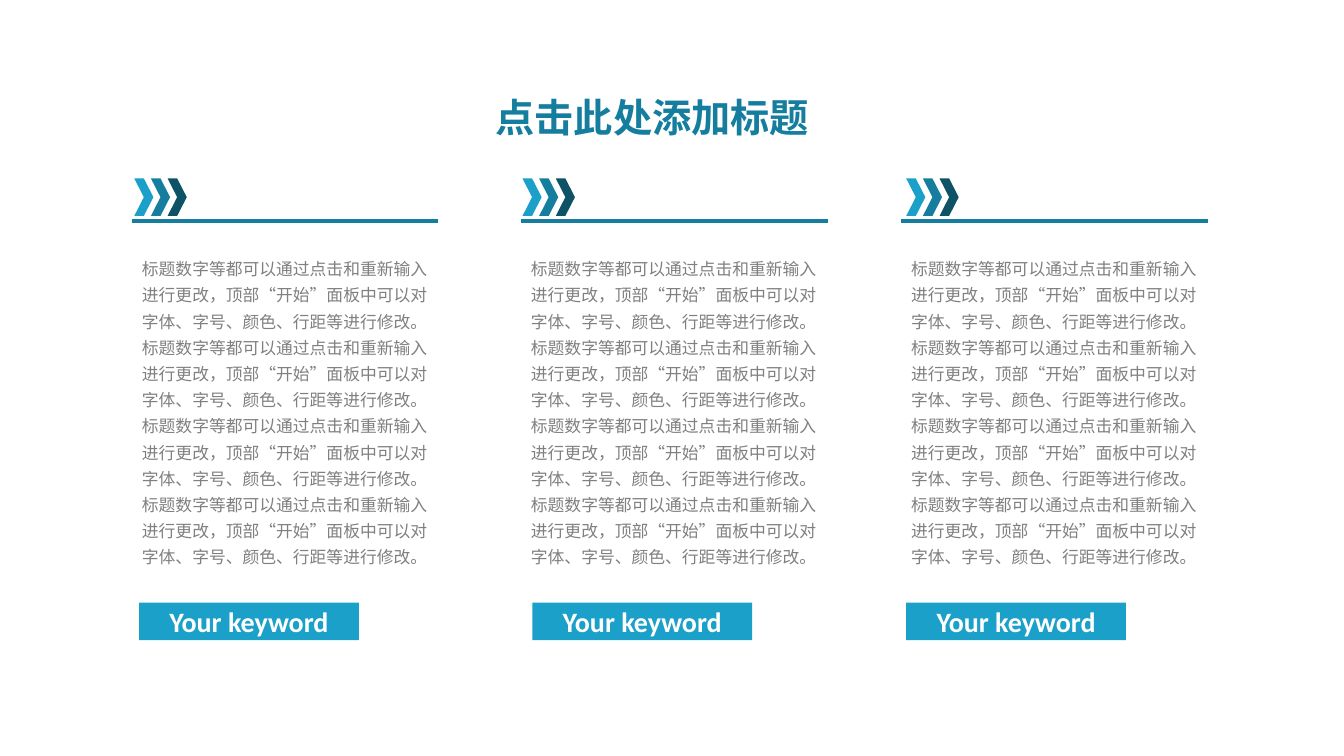
from dataclasses import dataclass

from lxml import etree
from pptx import Presentation
from pptx.dml import color
from pptx.enum import shapes, text
from pptx.oxml import ns
from pptx.util import Pt


@dataclass(frozen=True)
class Theme:
    light: str = "1BA0C9"
    medium: str = "157E9F"
    dark: str = "0D5267"
    body: str = "808080"
    white: str = "FFFFFF"
    chinese_font: str = "Noto Sans CJK SC"
    latin_font: str = "Calibri"
    title_size: int = 28
    keyword_size: int = 20
    body_size: int = 12


THEME = Theme()
TITLE = "点击此处添加标题"
SENTENCE = ("标题数字等都可以通过点击和重新输入进行更改，"
            "顶部“开始”面板中可以对字体、字号、颜色、行距等进行修改。")
BODY = SENTENCE * 4
KEYWORD = "Your keyword"

COLUMN_TOP = 127.44
COLUMN_WIDTH = 218.9
# Left edge of each column, then the indents of its chevrons and keyword
COLUMNS = [(94.3, 1.6, 5), (372.2, 1, 8), (643.7, 3.6, 3.6)]


def rgb(value):
    return color.RGBColor.from_string(value)


def style(paragraph, name, size, value, bold=False):
    """Set the paragraph's font, for Latin and East Asian text alike."""
    font = paragraph.font
    font.name, font.size, font.bold = name, Pt(size), bold
    font.color.rgb = rgb(value)
    properties = paragraph._p.pPr.find(ns.qn("a:defRPr"))
    etree.SubElement(properties, ns.qn("a:ea"), typeface=name)


def add_text(slide, left, top, width, height, words):
    box = slide.shapes.add_textbox(Pt(left), Pt(top), Pt(width), Pt(height))
    box.text_frame.word_wrap = True
    paragraph = box.text_frame.paragraphs[0]
    paragraph.text = words
    return paragraph


def add_block(slide, kind, left, top, width, height, fill):
    shape = slide.shapes.add_shape(kind, Pt(left), Pt(top), Pt(width), Pt(height))
    shape.shadow.inherit = False
    shape.fill.solid()
    shape.fill.fore_color.rgb = rgb(fill)
    shape.line.fill.background()
    return shape


def add_title(slide, left, top, width, height):
    paragraph = add_text(slide, left, top, width, height, TITLE)
    style(paragraph, THEME.chinese_font, THEME.title_size, THEME.medium, True)


def add_chevrons(slide, left, top):
    for index, fill in enumerate((THEME.light, THEME.medium, THEME.dark)):
        add_block(slide, shapes.MSO_SHAPE.CHEVRON,
                  left + index * 11.9, top, 13.7, 26.8, fill)


def add_rule(slide, left, top, width):
    rule = slide.shapes.add_connector(shapes.MSO_CONNECTOR.STRAIGHT,
                                      Pt(left), Pt(top), Pt(left + width), Pt(top))
    rule.line.color.rgb = rgb(THEME.medium)
    rule.line.width = Pt(3)
    etree.SubElement(rule._element.spPr, ns.qn("a:effectLst"))


def add_keyword(slide, left, top):
    tag = add_block(slide, shapes.MSO_SHAPE.RECTANGLE, left, top, 157, 26.8, THEME.light)
    tag.text_frame.vertical_anchor = text.MSO_ANCHOR.MIDDLE
    paragraph = tag.text_frame.paragraphs[0]
    paragraph.text = KEYWORD
    paragraph.alignment = text.PP_ALIGN.CENTER
    style(paragraph, THEME.latin_font, THEME.keyword_size, THEME.white, True)


def add_column(slide, left, top, width, chevron_indent, keyword_indent):
    add_chevrons(slide, left + chevron_indent, top)
    add_rule(slide, left, top + 30.2, width)
    paragraph = add_text(slide, left, top + 49.7, width, 234, BODY)
    paragraph.line_spacing = 1.3
    style(paragraph, THEME.chinese_font, THEME.body_size, THEME.body)
    add_keyword(slide, left + keyword_indent, top + 303.1)


def main():
    presentation = Presentation()
    presentation.slide_width, presentation.slide_height = Pt(960), Pt(540)
    slide = presentation.slides.add_slide(presentation.slide_layouts[6])
    add_title(slide, 347, 63.4, 247.7, 41)
    for left, chevron_indent, keyword_indent in COLUMNS:
        add_column(slide, left, COLUMN_TOP, COLUMN_WIDTH, chevron_indent, keyword_indent)
    presentation.save("out.pptx")


if __name__ == "__main__":
    main()
